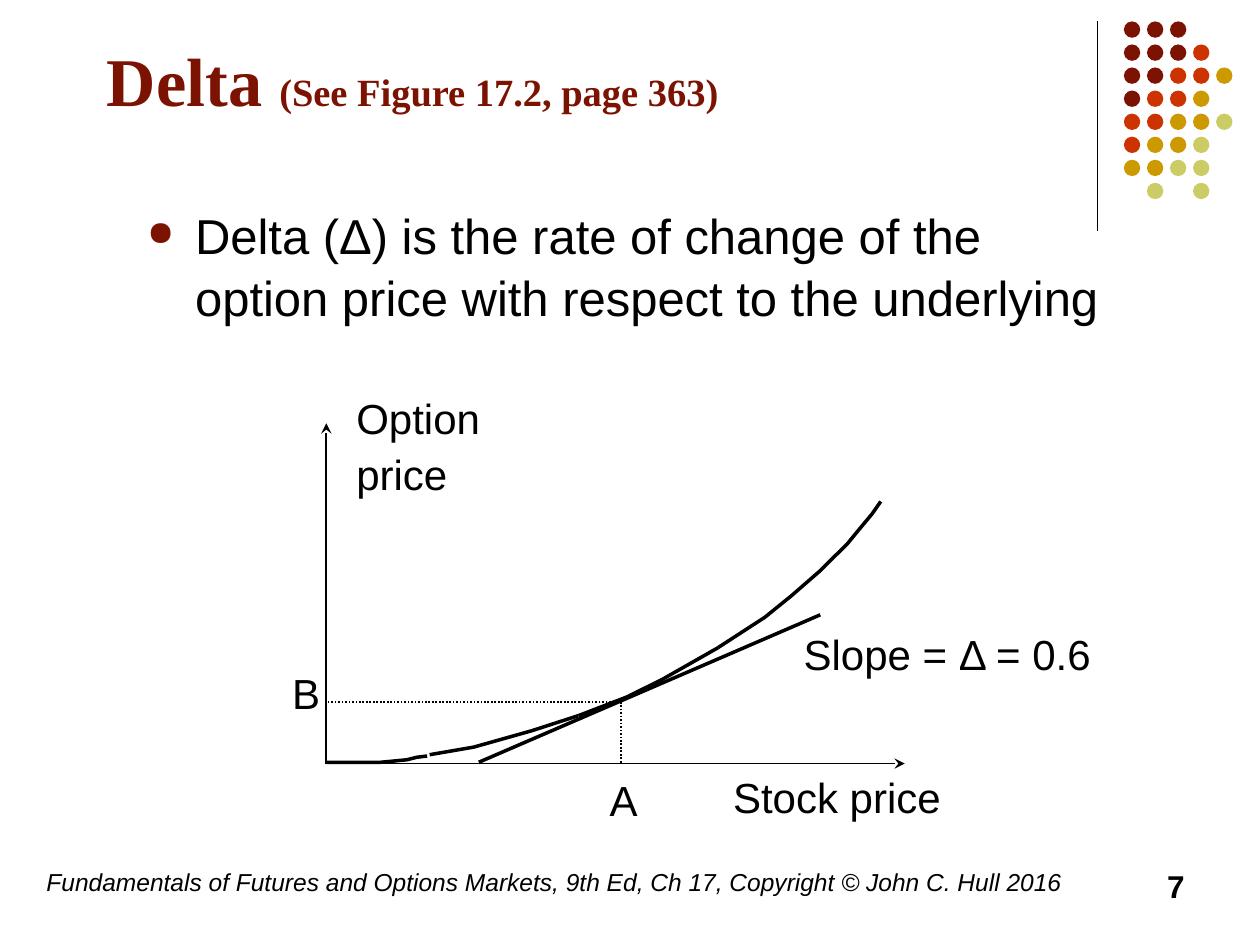
"""Build the slide that explains delta as the slope of the option price curve."""
import pptx
import pptx.util
import pptx.dml.color
import pptx.enum.dml
import pptx.enum.shapes
import pptx.enum.text
import pptx.oxml
import pptx.oxml.ns

Inches = pptx.util.Inches
Pt = pptx.util.Pt
qn = pptx.oxml.ns.qn
Sub = pptx.oxml.xmlchemy.OxmlElement

RED = "7C1302"
BLACK = "000000"


def tint(hue):
    return pptx.dml.color.RGBColor.from_string(hue)


def write(box, runs, wrap=True, hue=BLACK, face="Arial", bold=False, slant=False):
    shape = slide.shapes.add_textbox(*[Inches(n) for n in box])
    frame = shape.text_frame
    frame.word_wrap = wrap
    para = frame.paragraphs[0]
    for words, size in runs:
        run = para.add_run()
        run.text = words
        font = run.font
        font.name = face
        font.size = Pt(size)
        font.bold = bold
        font.italic = slant
        font.color.rgb = tint(hue)
    return frame


deck = pptx.Presentation()
deck.slide_width = Inches(10)
deck.slide_height = Inches(7.5)
slide = deck.slides.add_slide(deck.slide_layouts[6])

hues = {"r": RED, "o": "CC3300", "g": "CC9900", "y": "CCCC66"}
rows = ["rrr", "rrro", "rroog", "roog", "ooggy", "oggy", "ggyy", " y y"]
step = 0.183
for row, keys in enumerate(rows):
    for col, key in enumerate(keys):
        if key in hues:
            dot = slide.shapes.add_shape(
                pptx.enum.shapes.MSO_SHAPE.OVAL,
                Inches(8.92 + col * step), Inches(0.17 + row * step),
                Inches(0.13), Inches(0.13))
            dot.shadow.inherit = False
            dot.fill.solid()
            dot.fill.fore_color.rgb = tint(hues[key])
            dot.line.fill.background()

write((0.75, 0, 8.5, 1.25), [("Delta ", 39), ("(See Figure 17.2, page 363)", 22)],
      hue=RED, face="Times New Roman", bold=True
      ).vertical_anchor = pptx.enum.text.MSO_ANCHOR.MIDDLE

body = write((1.07, 1.56, 7.93, 1.98), [(
    "Delta (Δ) is the rate of change of the option price "
    "with respect to the underlying", 28)])
point = body.paragraphs[0]
point.line_spacing = 1.05
props = point._p.get_or_add_pPr()
props.set("marL", str(Inches(0.38)))
props.set("indent", str(-Inches(0.38)))
shade = Sub("a:buClr")
value = Sub("a:srgbClr")
value.set("val", RED)
shade.append(value)
size = Sub("a:buSzPct")
size.set("val", "70000")
mark = Sub("a:buChar")
mark.set("char", "●")
props.extend([shade, size, mark])

left, base = 2.59, 6.06
touch, price = 4.93, 5.57
lines = [
    (8.71, 0.17, 8.71, 1.83, 0.75, None),
    (left, base, left, 3.36, 1, "arrow"),
    (left, base, 7.18, base, 1, "arrow"),
    (touch, price, touch, base, 1, "dots"),
    (touch, price, left, price, 1, "dots"),
]
for *ends, width, style in lines:
    line = slide.shapes.add_connector(
        pptx.enum.shapes.MSO_CONNECTOR.STRAIGHT, *[Inches(n) for n in ends])
    line.line.color.rgb = tint(BLACK)
    line.line.width = Pt(width)
    line._element.spPr.append(Sub("a:effectLst"))
    if style == "dots":
        line.line.dash_style = pptx.enum.dml.MSO_LINE.ROUND_DOT
    if style == "arrow":
        tail = Sub("a:tailEnd")
        tail.set("type", "stealth")
        line._element.spPr.find(qn("a:ln")).append(tail)

curves = [
    [(2.59, 6.05), (2.84, 6.05), (3.02, 6.05), (3.23, 6.03), (3.31, 6.01), (3.39, 6)],
    [(3.41, 5.99), (3.76, 5.93), (4.22, 5.8), (4.59, 5.68)],
    [(4.59, 5.68), (4.98, 5.53), (5.26, 5.39), (5.7, 5.14)],
    [(5.7, 5.14), (6.07, 4.9), (6.28, 4.73), (6.51, 4.53), (6.64, 4.4)],
    [(6.64, 4.4), (6.73, 4.31), (6.82, 4.2), (6.92, 4.08), (6.99, 3.98)],
    [(3.8, 6.05), (6.51, 4.88)],
]
for curve in curves:
    spots = [(Inches(x), Inches(y)) for x, y in curve]
    pen = slide.shapes.build_freeform(*spots[0])
    pen.add_line_segments(spots[1:], close=False)
    path = pen.convert_to_shape()
    path.shadow.inherit = False
    path.fill.background()
    path.line.color.rgb = tint(BLACK)
    path.line.width = Pt(2)

axis = write((2.73, 3.07, 1.2, 0.9), [("Option", 24)], wrap=False)
para = axis.add_paragraph()
para.space_before = Pt(3)
run = para.add_run()
run.text = "price"
run.font.name = "Arial"
run.font.size = Pt(24)
run.font.color.rgb = tint(BLACK)

labels = [
    ("A", 4.74, 6.1, 0.43, False),
    ("B", 2.22, 5.25, 0.43, False),
    ("Slope = Δ = 0.6", 6.28, 4.94, 3.37, True),
    ("Stock price", 5.72, 6.07, 1.87, False),
]
for words, x, y, width, wrap in labels:
    write((x, y, width, 0.51), [(words, 24)], wrap=wrap)

write((0.27, 6.83, 8.27, 0.5), [(
    "Fundamentals of Futures and Options Markets, 9th Ed, Ch 17, "
    "Copyright © John C. Hull 2016", 14)], slant=True)
page = write((7.17, 6.83, 2.33, 0.5), [("7", 18)], bold=True)
page.paragraphs[0].alignment = pptx.enum.text.PP_ALIGN.RIGHT

deck.save("out.pptx")
